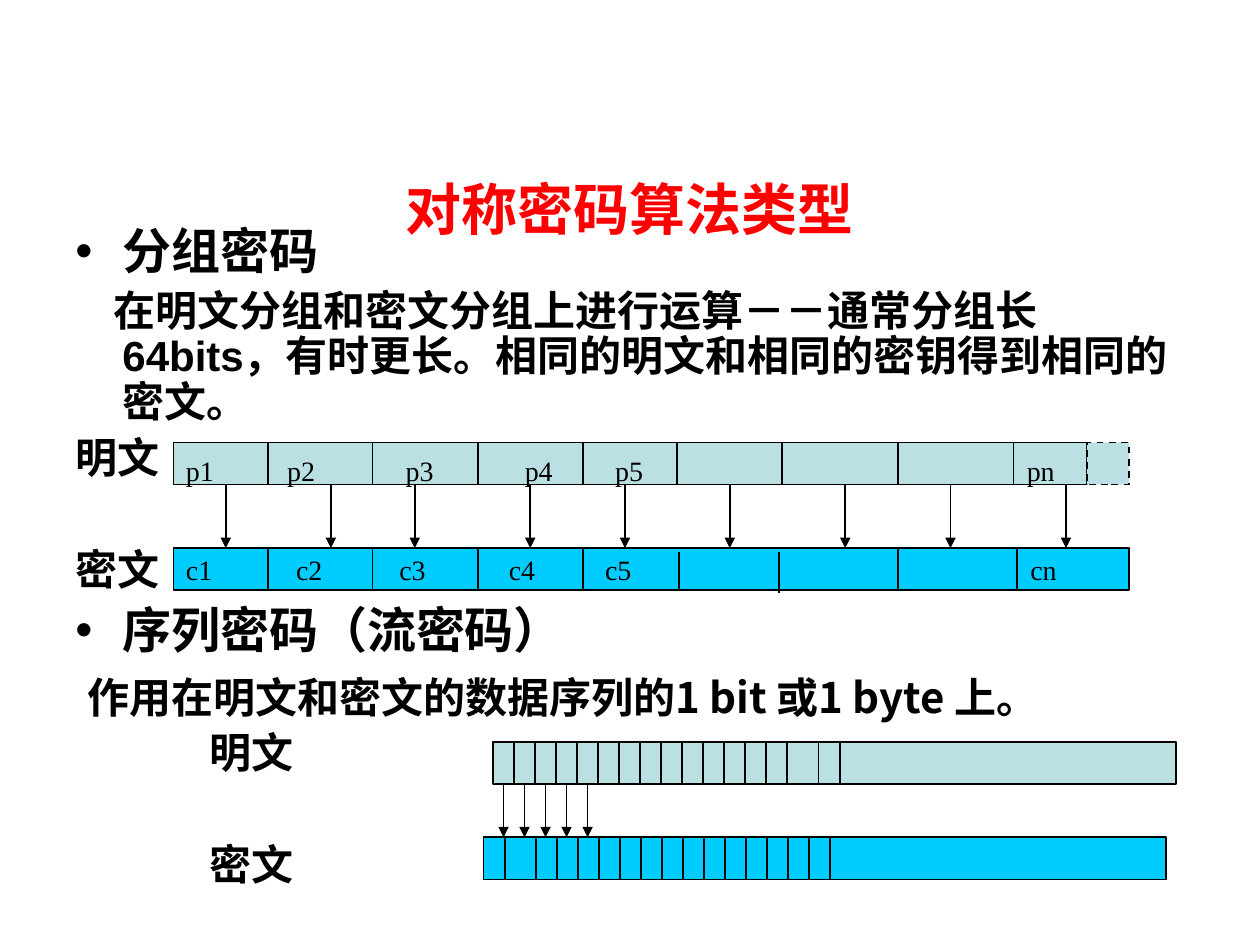
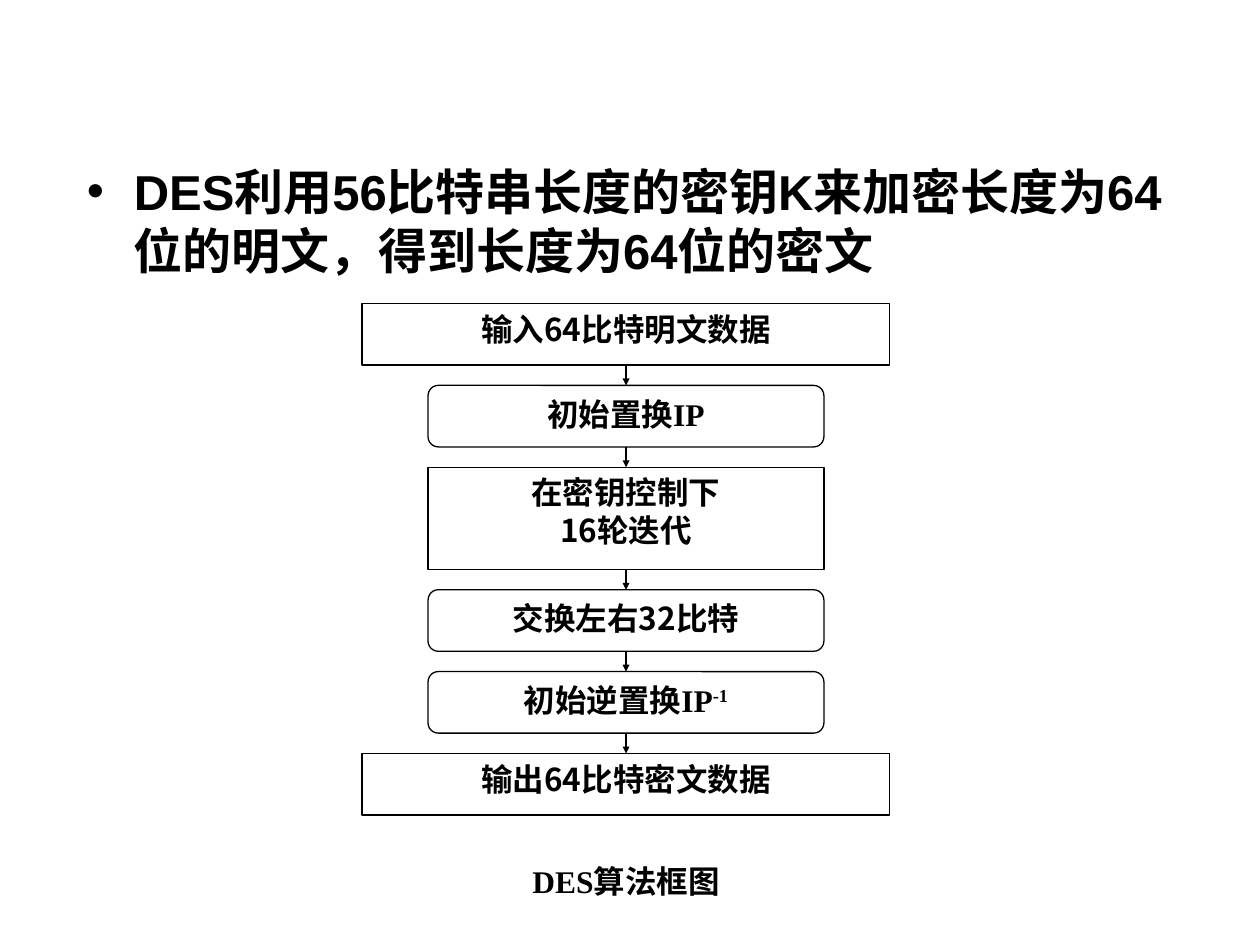
import pptx
import pptx.util
import pptx.dml.color
import pptx.enum.dml
import pptx.enum.shapes
import pptx.enum.text
import pptx.oxml.ns
import lxml.etree

Cm = pptx.util.Cm
Pt = pptx.util.Pt
RGBColor = pptx.dml.color.RGBColor
MSO_SHAPE = pptx.enum.shapes.MSO_SHAPE
PP_ALIGN = pptx.enum.text.PP_ALIGN
ANCHOR = pptx.enum.text.MSO_ANCHOR
qn = pptx.oxml.ns.qn
SubElement = lxml.etree.SubElement

BLACK = RGBColor(0x00, 0x00, 0x00)
WHITE = RGBColor(0xFF, 0xFF, 0xFF)
RED = RGBColor(0xFF, 0x00, 0x00)
PLAIN_BLUE = RGBColor(0xBB, 0xE0, 0xE3)
CIPHER_BLUE = RGBColor(0x00, 0xCC, 0xFF)
HAN = "Noto Sans CJK SC"
ARIAL = "Arial"
TIMES = "Times New Roman"


def write_text(text, frame, paragraph=None, size=24, font=HAN, colour=BLACK, bold=True,
               align=PP_ALIGN.LEFT, before=0, spacing=None, left=0, indent=0,
               bullet=False, superscript=False):
    """Add a paragraph to the frame, or a run to the given paragraph."""
    if paragraph is None:
        paragraph = frame.paragraphs[0]
        if paragraph.runs:
            paragraph = frame.add_paragraph()
        properties = paragraph._p.get_or_add_pPr()
        properties.set("marL", str(Cm(left)))
        properties.set("indent", str(Cm(indent)))
        if bullet:
            SubElement(properties, qn("a:buFont"), typeface=ARIAL)
            SubElement(properties, qn("a:buChar"), char="•")
        else:
            SubElement(properties, qn("a:buNone"))
        paragraph.alignment = align
        paragraph.space_before = Pt(before)
        if spacing:
            paragraph.line_spacing = spacing
    run = paragraph.add_run()
    run.text = text
    run.font.size = Pt(size)
    run.font.bold = bold
    run.font.color.rgb = colour
    run.font.name = font
    run_properties = run._r.get_or_add_rPr()
    SubElement(run_properties, qn("a:ea"), typeface=HAN)
    if superscript:
        run_properties.set("baseline", "30000")
    return paragraph


def add_box(slide, left, top, width, height, fill, line_width=1, kind=MSO_SHAPE.RECTANGLE):
    shape = slide.shapes.add_shape(kind, Cm(left), Cm(top), Cm(width), Cm(height))
    shape.shadow.inherit = False
    shape.fill.solid()
    shape.fill.fore_color.rgb = fill
    shape.line.color.rgb = BLACK
    shape.line.width = Pt(line_width)
    shape.text_frame.word_wrap = True
    return shape


presentation = pptx.Presentation()
presentation.slide_width = Cm(25.4)
presentation.slide_height = Cm(19.05)
title_only, blank = presentation.slide_layouts[5], presentation.slide_layouts[6]

# Vertical lines of both slides: slide, x, top, bottom, line width, arrowhead size
lines = []

# Slide 1: title
types_slide = presentation.slides.add_slide(title_only)
title = types_slide.shapes.title
title.left, title.top, title.width, title.height = Cm(1.27), Cm(3.1), Cm(22.86), Cm(2.21)
title.text_frame.auto_size = pptx.enum.text.MSO_AUTO_SIZE.NONE
title.text_frame.vertical_anchor = ANCHOR.MIDDLE
write_text("对称密码算法类型", title.text_frame, size=32, font=ARIAL, colour=RED,
           align=PP_ALIGN.CENTER)

# Slide 1: body text (text, size, space before, first-line indent, bullet)
body = types_slide.shapes.add_textbox(Cm(1.27), Cm(4.45), Cm(22.86), Cm(14.07)).text_frame
body.word_wrap = True
for text, size, before, indent, bullet in [
    ("分组密码", 28, 0, -0.95, True),
    ("在明文分组和密文分组上进行运算－－通常分组长", 24, 6, -0.18, False),
    ("明文", 24, 6, -0.95, False),
    ("密文", 24, 38, -0.95, False),
    ("序列密码（流密码）", 28, 7, -0.95, True),
    ("作用在明文和密文的数据序列的1 bit 或1 byte 上。", 24, 10, -0.71, False),
    ("明文", 24, 6, 1.75, False),
    ("密文", 24, 38, 1.75, False),
]:
    paragraph = write_text(text, body, size=size, before=before, spacing=0.9,
                           left=0.95, indent=indent, bullet=bullet)
    if text.endswith("分组长"):
        write_text("64bits，", body, paragraph, font=ARIAL)
        write_text("有时更长。相同的明文和相同的密钥得到相同的密文。", body, paragraph)

# Slide 1: block cipher bars and their labels
BAR_HEIGHT = 0.85
BLOCK_LEFT, PLAIN_TOP, CIPHER_TOP = 3.5, 8.92, 11.05
for top, width, fill, labels, offsets, drop in [
    (PLAIN_TOP, 18.41, PLAIN_BLUE, "p1 p2 p3 p4 p5 pn",
     (0, 2.04, 4.43, 6.83, 8.65, 16.95), 0.13),
    (CIPHER_TOP, 19.26, CIPHER_BLUE, "c1 c2 c3 c4 c5 cn",
     (0, 2.22, 4.3, 6.51, 8.45, 17.02), 0),
]:
    add_box(types_slide, BLOCK_LEFT, top, width, BAR_HEIGHT, fill)
    for label, offset in zip(labels.split(), offsets):
        frame = types_slide.shapes.add_textbox(Cm(BLOCK_LEFT + offset), Cm(top + drop),
                                               Cm(1.4), Cm(BAR_HEIGHT)).text_frame
        frame.word_wrap = True
        frame.vertical_anchor = ANCHOR.MIDDLE
        write_text(label, frame, size=16, font=TIMES, bold=False)
padding = add_box(types_slide, 21.91, PLAIN_TOP, BAR_HEIGHT, BAR_HEIGHT, PLAIN_BLUE)
padding.line.dash_style = pptx.enum.dml.MSO_LINE.DASH

# Slide 1: block dividers and arrows
for x in (5.4, 7.51, 9.63, 11.75, 13.65, 15.77, 18.1, 20.43):
    lines.append((types_slide, x, PLAIN_TOP, PLAIN_TOP + BAR_HEIGHT, 1, None))
for x, top, bottom in [
    (5.4, 11.05, 11.9), (7.51, 11.05, 11.9), (9.63, 11.05, 11.9), (11.75, 11.05, 11.9),
    (13.69, 11.13, 11.9), (15.7, 11.13, 11.96), (18.1, 11.07, 11.92), (20.5, 11.07, 11.92),
]:
    lines.append((types_slide, x, top, bottom, 1, None))
for x in (4.55, 6.67, 8.36, 10.69, 12.6, 14.71, 17.04, 19.16, 21.49):
    lines.append((types_slide, x, PLAIN_TOP + BAR_HEIGHT, CIPHER_TOP, 1, "med"))

# Slide 1: stream cipher bars, divided in steps of one bit
BIT = 2.54 / 6
STREAM_PLAIN_LEFT, STREAM_PLAIN_TOP = 9.94, 14.96
STREAM_CIPHER_LEFT, STREAM_CIPHER_TOP = 9.75, 16.88
add_box(types_slide, STREAM_PLAIN_LEFT, STREAM_PLAIN_TOP, 6.99, BAR_HEIGHT, PLAIN_BLUE)
add_box(types_slide, 16.93, STREAM_PLAIN_TOP, 6.78, BAR_HEIGHT, PLAIN_BLUE)
add_box(types_slide, STREAM_CIPHER_LEFT, STREAM_CIPHER_TOP, 13.76, BAR_HEIGHT, CIPHER_BLUE)
for left, top, steps in [
    (STREAM_PLAIN_LEFT, STREAM_PLAIN_TOP, [*range(1, 15), 15.5]),
    (STREAM_CIPHER_LEFT, STREAM_CIPHER_TOP, [1, *(step + 2.5 for step in range(15))]),
]:
    for step in steps:
        lines.append((types_slide, left + step * BIT, top, top + BAR_HEIGHT, 1, None))
for step in range(5):
    lines.append((types_slide, STREAM_PLAIN_LEFT + (step + 0.5) * BIT,
                  STREAM_PLAIN_TOP + BAR_HEIGHT, STREAM_CIPHER_TOP, 1, "med"))

# Slide 2: introduction
des_slide = presentation.slides.add_slide(blank)
introduction = des_slide.shapes.add_textbox(Cm(1.5), Cm(3.13), Cm(22.81), Cm(2.79)).text_frame
introduction.word_wrap = True
write_text("DES利用56比特串长度的密钥K来加密长度为64位的明文，得到长度为64位的密文",
           introduction, size=28, font=ARIAL, left=0.95, indent=-0.95, bullet=True)

# Slide 2: flowchart, stacked with equal gaps
CENTRE, GAP = 12.62, 0.41
WIDE, NARROW = 10.64, 7.98
top = 6.12
for texts, font, width, height, kind in [
    (["输入64比特明文数据"], HAN, WIDE, 1.24, MSO_SHAPE.RECTANGLE),
    (["初始置换IP"], TIMES, NARROW, 1.24, MSO_SHAPE.ROUNDED_RECTANGLE),
    (["在密钥控制下", "16轮迭代"], HAN, NARROW, 2.06, MSO_SHAPE.RECTANGLE),
    (["交换左右32比特"], HAN, NARROW, 1.24, MSO_SHAPE.ROUNDED_RECTANGLE),
    (["初始逆置换IP"], TIMES, NARROW, 1.24, MSO_SHAPE.ROUNDED_RECTANGLE),
    (["输出64比特密文数据"], HAN, WIDE, 1.24, MSO_SHAPE.RECTANGLE),
]:
    frame = add_box(des_slide, CENTRE - width / 2, top, width, height, WHITE,
                    0.75, kind).text_frame
    frame.vertical_anchor = ANCHOR.TOP
    for text in texts:
        paragraph = write_text(text, frame, size=18, font=font, align=PP_ALIGN.CENTER)
    if text == "初始逆置换IP":
        write_text("-1", frame, paragraph, size=18, font=font, superscript=True)
    if not text.startswith("输入"):
        lines.append((des_slide, CENTRE, top - GAP, top, 0.75, "sm"))
    top += height + GAP

# Slide 2: caption
caption = des_slide.shapes.add_textbox(Cm(CENTRE - WIDE / 2), Cm(17.25), Cm(WIDE), Cm(1.24))
caption.text_frame.word_wrap = True
write_text("DES算法框图", caption.text_frame, size=18, font=TIMES, align=PP_ALIGN.CENTER)

# Dividers and arrows of both slides
for slide, x, top, bottom, width, arrow_size in lines:
    connector = slide.shapes.add_connector(pptx.enum.shapes.MSO_CONNECTOR.STRAIGHT,
                                           Cm(x), Cm(top), Cm(x), Cm(bottom))
    connector.line.color.rgb = BLACK
    connector.line.width = Pt(width)
    if arrow_size:
        SubElement(connector.line._get_or_add_ln(), qn("a:tailEnd"), type="triangle",
                   w=arrow_size, len=arrow_size)
    SubElement(connector._element.spPr, qn("a:effectLst"))

presentation.save("out.pptx")
